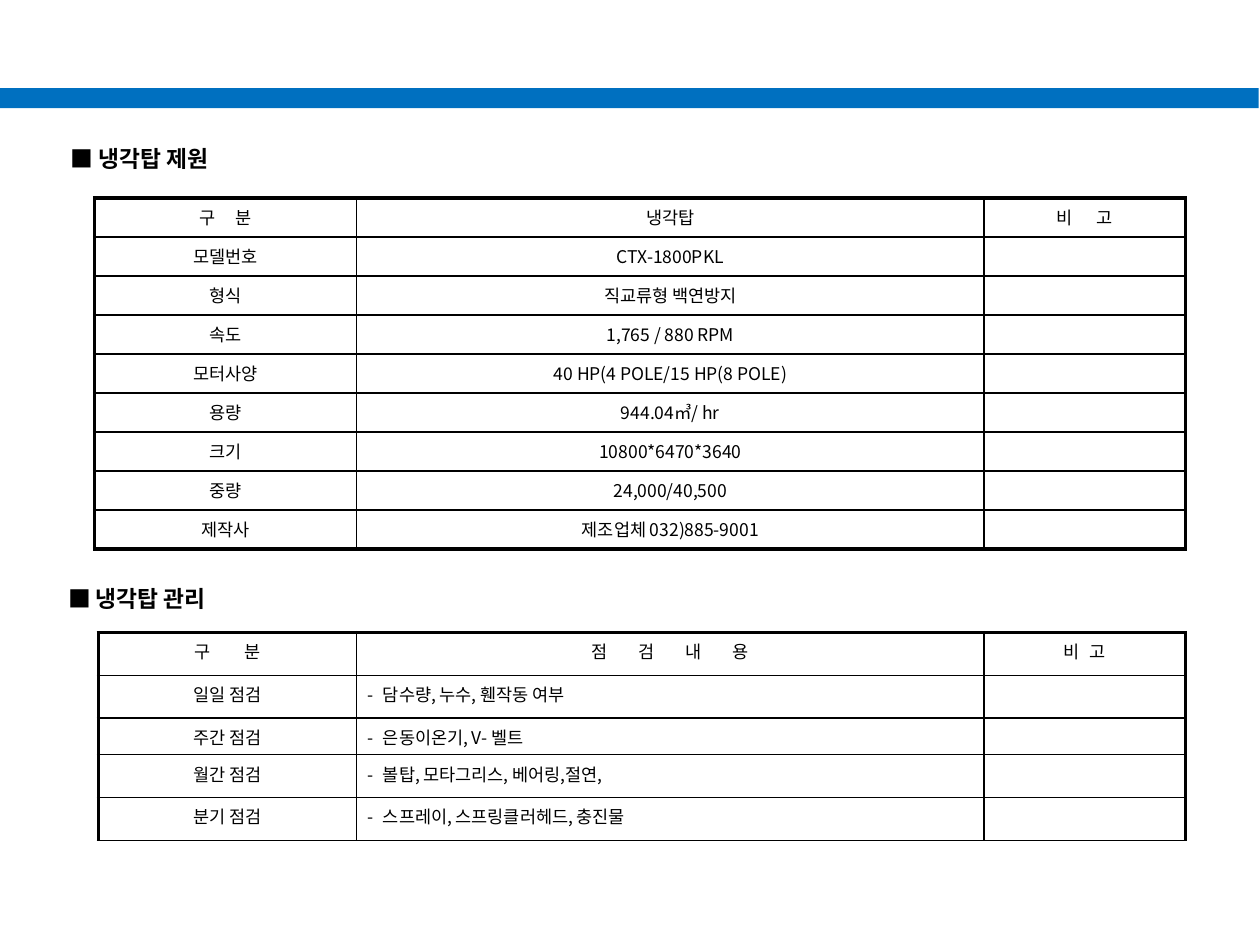
"""Build the cooling tower specification and inspection slide."""
from lxml import etree
from pptx import Presentation
from pptx import util as u
from pptx.dml.color import RGBColor
from pptx.enum import shapes, text
from pptx.oxml.ns import qn

COLORS = {"ink": "000000", "bar": "0070C0"}
FONT = "Noto Sans CJK KR"
THICK, THIN = 2.25, 1

SECTIONS = [
    {
        "title": "■ 냉각탑 제원", "title_box": (0.24, 1.15, 1.73, 0.22),
        "origin": (0.75, 1.57), "cols": [2.08, 4.98, 1.6], "heights": [0.31] * 9,
        "header": [("구 분", 4.6), ("냉각탑", 0), ("비 고", 5.7)],
        "rows": [
            ("모델번호", "CTX-1800PKL"),
            ("형식", "직교류형 백연방지"),
            ("속도", "1,765 / 880 RPM"),
            ("모터사양", "40 HP(4 POLE/15 HP(8 POLE)"),
            ("용량", "944.04㎥/ hr"),
            ("크기", "10800*6470*3640"),
            ("중량", "24,000/40,500"),
            ("제작사", "제조업체 032)885-9001"),
        ],
        "bulleted": False, "bottom": THICK,
    },
    {
        "title": "■ 냉각탑 관리", "title_box": (0.22, 4.64, 1.73, 0.22),
        "origin": (0.78, 5.02), "cols": [2.05, 4.98, 1.6],
        "heights": [0.34, 0.34, 0.29, 0.34, 0.34],
        "header": [("구 분", 8.6), ("점 검 내 용", 7.7), ("비 고", 1.7)],
        "rows": [
            ("일일 점검", "담수량, 누수, 휀작동 여부"),
            ("주간 점검", "은동이온기, V- 벨트"),
            ("월간 점검", "볼탑, 모타그리스, 베어링,절연,"),
            ("분기 점검", "스프레이, 스프링클러헤드, 충진물"),
        ],
        "bulleted": True, "bottom": THIN,
    },
]


def add_run(p, words, size, bold=False, spacing=0):
    r = p.add_run()
    r.text = words
    r.font.size = u.Pt(size)
    r.font.bold = bold
    r.font.name = FONT
    r.font.color.rgb = RGBColor.from_string(COLORS["ink"])
    rpr = r.font._element
    etree.SubElement(rpr, qn("a:ea"), typeface=FONT)
    if spacing:
        rpr.set("spc", str(round(spacing * 100)))


def add_title(s, words, box):
    tf = s.shapes.add_textbox(*map(u.Inches, box)).text_frame
    tf.margin_left = tf.margin_right = tf.margin_top = tf.margin_bottom = 0
    tf.vertical_anchor = text.MSO_ANCHOR.MIDDLE
    tf.word_wrap = True
    p = tf.paragraphs[0]
    p.alignment = text.PP_ALIGN.CENTER
    add_run(p, words, 13, bold=True)


def set_borders(cell, widths):
    tcpr = cell._tc.get_or_add_tcPr()
    for side, width in zip("LRTB", widths):
        ln = etree.SubElement(tcpr, qn("a:ln" + side), w=str(u.Pt(width)))
        fill = etree.SubElement(ln, qn("a:solidFill"))
        etree.SubElement(fill, qn("a:srgbClr"), val=COLORS["ink"])


def set_bullet(p):
    ppr = p._p.get_or_add_pPr()
    ppr.set("marL", str(u.Inches(0.12)))
    ppr.set("indent", str(u.Inches(-0.12)))
    etree.SubElement(ppr, qn("a:buFont"), typeface=FONT)
    etree.SubElement(ppr, qn("a:buChar"), char="-")


def fill_cell(cell, words, spacing, bulleted):
    cell.margin_left = cell.margin_right = u.Inches(0.09)
    cell.margin_top = cell.margin_bottom = u.Inches(0.05)
    p = cell.text_frame.paragraphs[0]
    if not words:
        etree.SubElement(p._p, qn("a:endParaRPr"), sz="1000")
        return
    if bulleted:
        set_bullet(p)
    else:
        p.alignment = text.PP_ALIGN.CENTER
    add_run(p, words, 10, spacing=spacing)


def add_table(s, section):
    cols, heights = section["cols"], section["heights"]
    size = (sum(cols), sum(heights))
    frame = s.shapes.add_table(len(heights), len(cols), *map(u.Inches, section["origin"] + size))
    table = frame.table
    table.first_row = table.horz_banding = False
    for col, width in zip(table.columns, cols):
        col.width = u.Inches(width)
    for row, height in zip(table.rows, heights):
        row.height = u.Inches(height)
    body = [[(name, 0), (value, 0), ("", 0)] for name, value in section["rows"]]
    last_row, last_col = len(heights) - 1, len(cols) - 1
    for i, row in enumerate([section["header"]] + body):
        for j, (words, spacing) in enumerate(row):
            cell = table.cell(i, j)
            set_borders(cell, (
                THICK if j == 0 else THIN,
                THICK if j == last_col else THIN,
                THICK if i == 0 else THIN,
                section["bottom"] if i == last_row else THIN,
            ))
            cell.fill.background()
            fill_cell(cell, words, spacing, section["bulleted"] and i > 0 and j == 1)


def add_bar(s):
    sp = s.shapes.add_shape(shapes.MSO_SHAPE.RECTANGLE, 0, u.Inches(0.7), u.Inches(9.99), u.Inches(0.16))
    sp.shadow.inherit = False
    sp.fill.solid()
    sp.fill.fore_color.rgb = RGBColor.from_string(COLORS["bar"])
    sp.line.fill.background()


def main():
    prs = Presentation()
    prs.slide_width, prs.slide_height = u.Inches(10), u.Inches(7.5)
    s = prs.slides.add_slide(prs.slide_layouts[6])
    for section in SECTIONS:
        add_title(s, section["title"], section["title_box"])
        add_table(s, section)
    add_bar(s)
    prs.save("out.pptx")


if __name__ == "__main__":
    main()
